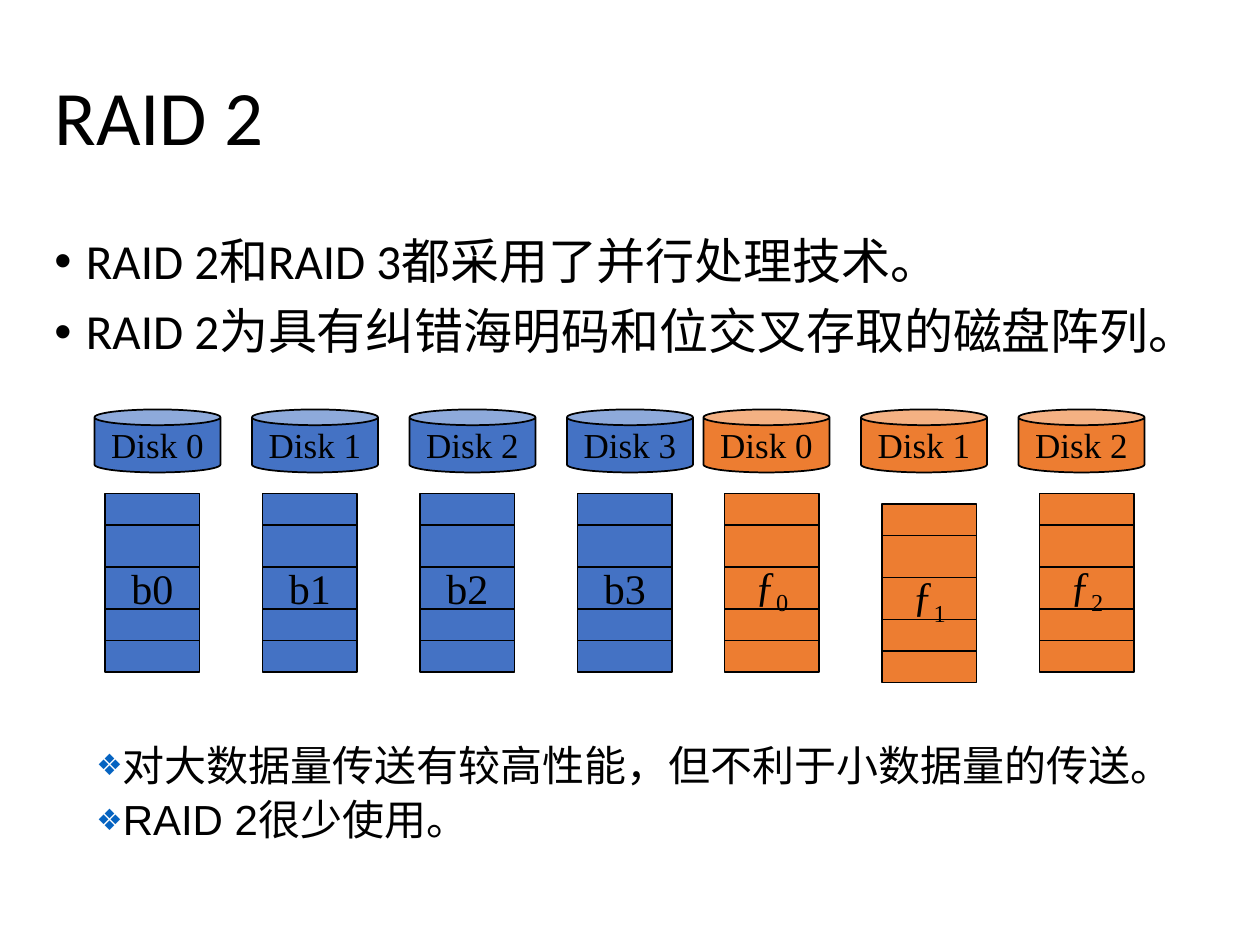
from lxml import etree
from pptx import Presentation
from pptx.dml.color import RGBColor
from pptx.enum.shapes import MSO_CONNECTOR, MSO_SHAPE
from pptx.enum.text import MSO_ANCHOR, PP_ALIGN
from pptx.oxml.ns import qn
from pptx.util import Pt

CAN, RECTANGLE = MSO_SHAPE.CAN, MSO_SHAPE.RECTANGLE
STRAIGHT = MSO_CONNECTOR.STRAIGHT
TOP, MIDDLE = MSO_ANCHOR.TOP, MSO_ANCHOR.MIDDLE
CENTER = PP_ALIGN.CENTER

BLACK, BLUE, ORANGE, BULLET_BLUE = "000000", "4472C4", "ED7D31", "0563C1"
DISK_PITCH = 90
DISK_TOP, DISK_WIDTH, DISK_HEIGHT = 234, 72, 36
STRIP_TOP, STRIP_WIDTH, STRIP_HEIGHT = 282, 54, 102


def color(hex_string):
    return RGBColor.from_string(hex_string)


def set_font(paragraph, name, size):
    paragraph.font.name = name
    paragraph.font.size = Pt(size)
    paragraph.font.color.rgb = color(BLACK)


def add_bullet(paragraph, character, hanging=0, bullet_color=None, percent=None):
    properties = paragraph._p.get_or_add_pPr()
    properties.set("marL", str(Pt(hanging)))
    properties.set("indent", str(-Pt(hanging)))
    if bullet_color:
        holder = etree.SubElement(properties, qn("a:buClr"))
        etree.SubElement(holder, qn("a:srgbClr"), val=bullet_color)
    if percent:
        etree.SubElement(properties, qn("a:buSzPct"), val=str(percent * 1000))
    etree.SubElement(properties, qn("a:buFont"), typeface="Arial")
    etree.SubElement(properties, qn("a:buChar"), char=character)


def add_text(slide, box, lines, font, size, anchor=TOP, wrap=True,
             space_before=0, bullet=None):
    shape = slide.shapes.add_textbox(*map(Pt, box))
    frame = shape.text_frame
    frame.word_wrap = wrap
    frame.vertical_anchor = anchor
    for index, line in enumerate(lines):
        paragraph = frame.add_paragraph() if index else frame.paragraphs[0]
        paragraph.add_run().text = line
        if bullet:
            add_bullet(paragraph, **bullet)
        paragraph.line_spacing = 0.9
        paragraph.space_before = Pt(space_before if index else 0)
        set_font(paragraph, font, size)


def add_block(shapes, kind, box, fill, label="", subscript="", size=20):
    shape = shapes.add_shape(kind, *map(Pt, box))
    shape.shadow.inherit = False
    shape.fill.solid()
    shape.fill.fore_color.rgb = color(fill)
    shape.line.color.rgb = color(BLACK)
    shape.line.width = Pt(1)
    if label:
        frame = shape.text_frame
        frame.word_wrap = False
        frame.vertical_anchor = MIDDLE
        paragraph = frame.paragraphs[0]
        paragraph.alignment = CENTER
        paragraph.add_run().text = label
        if subscript:
            run = paragraph.add_run()
            run.text = subscript
            run._r.get_or_add_rPr().set("baseline", "-25000")
        set_font(paragraph, "Times New Roman", size)


def add_divider(shapes, left, y):
    line = shapes.add_connector(STRAIGHT, Pt(left), Pt(y), Pt(left + STRIP_WIDTH), Pt(y))
    line.line.color.rgb = color(BLACK)
    line.line.width = Pt(1)
    etree.SubElement(line._element.spPr, qn("a:effectLst"))


def add_strip(slide, left, top, fill, label, subscript=""):
    shapes = slide.shapes.add_group_shape().shapes
    add_block(shapes, RECTANGLE, (left, top, STRIP_WIDTH, STRIP_HEIGHT), fill)
    add_block(shapes, RECTANGLE, (left, top + 42, STRIP_WIDTH, 24), fill,
              label, subscript, size=24)
    for offset in (18, 84):
        add_divider(shapes, left, top + offset)


def add_disks(slide, count, left, fill):
    for index in range(count):
        box = (left + index * DISK_PITCH, DISK_TOP, DISK_WIDTH, DISK_HEIGHT)
        add_block(slide.shapes, CAN, box, fill, f"Disk {index}")


def main():
    presentation = Presentation()
    presentation.slide_width, presentation.slide_height = Pt(720), Pt(540)
    slide = presentation.slides.add_slide(presentation.slide_layouts[6])

    # Title and main points
    add_text(slide, (24, 24, 672, 90), ["RAID 2"], "Calibri", 44, anchor=MIDDLE)
    add_text(slide, (24, 132, 696, 83),
             ["RAID 2和RAID 3都采用了并行处理技术。",
              "RAID 2为具有纠错海明码和位交叉存取的磁盘阵列。"],
             "Calibri", 28, space_before=10,
             bullet={"character": "•", "hanging": 18})

    # Data disks and check disks
    add_disks(slide, 4, 54, BLUE)
    add_disks(slide, 3, 402, ORANGE)

    # Bit strips below the disks; the middle check strip sits lower
    for index in range(4):
        add_strip(slide, 60 + index * DISK_PITCH, STRIP_TOP, BLUE, f"b{index}")
    for index, drop in enumerate((0, 6, 0)):
        add_strip(slide, 414 + index * DISK_PITCH, STRIP_TOP + drop, ORANGE,
                  "ƒ", str(index))

    # Remarks
    add_text(slide, (48, 422.5, 638.5, 65.5),
             ["对大数据量传送有较高性能，但不利于小数据量的传送。", "RAID 2很少使用。"],
             "Arial", 24, wrap=False, space_before=5,
             bullet={"character": "❖", "bullet_color": BULLET_BLUE, "percent": 70})

    presentation.save("out.pptx")


if __name__ == "__main__":
    main()
